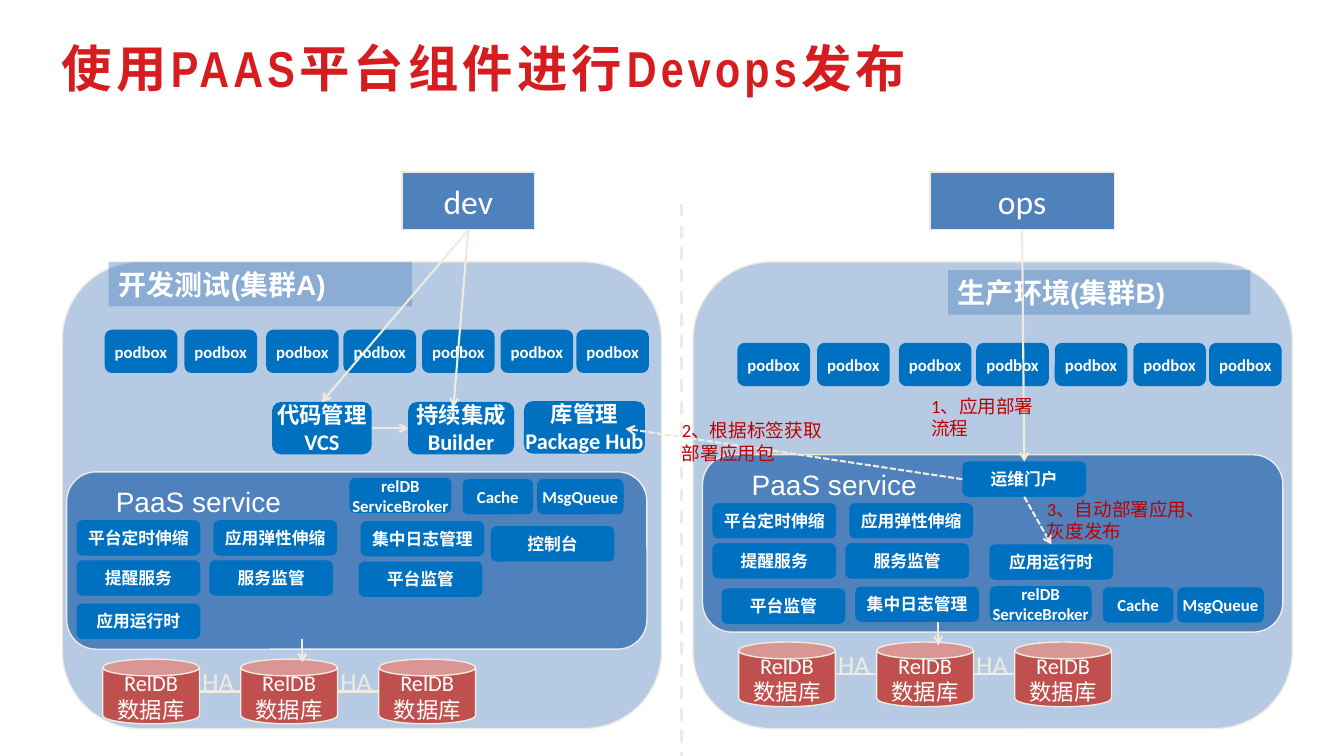
from dataclasses import dataclass

from lxml.etree import SubElement
from pptx import Presentation
from pptx.dml.color import RGBColor
from pptx.enum.dml import MSO_LINE
from pptx.enum.shapes import MSO_CONNECTOR, MSO_SHAPE
from pptx.enum.text import MSO_ANCHOR, MSO_AUTO_SIZE, PP_ALIGN
from pptx.oxml.ns import qn
from pptx.shapes.autoshape import Shape
from pptx.shapes.connector import Connector
from pptx.slide import Slide
from pptx.util import Cm, Pt

RED = RGBColor(0xD5, 0x1C, 0x1E)
NOTE_RED = RGBColor(0xC0, 0x00, 0x00)
WHITE = RGBColor(0xFF, 0xFF, 0xFF)
CREAM = RGBColor(0xEE, 0xEC, 0xE1)
BLUE = RGBColor(0x4F, 0x81, 0xBD)
BRIGHT_BLUE = RGBColor(0x00, 0x70, 0xC0)
BRICK = RGBColor(0xC0, 0x50, 0x4D)

TOP, LEFT, BOTTOM, RIGHT = range(4)
SERVICE_W, SERVICE_H = 3.12, 0.89
DATABASE_W, DATABASE_H, DATABASE_PITCH = 2.44, 1.63, 3.48


@dataclass(frozen=True)
class Box:
    text: str
    left: float
    top: float
    width: float = SERVICE_W
    height: float = SERVICE_H

    def moved(self, dx: float, dy: float) -> "Box":
        return Box(self.text, self.left + dx, self.top + dy, self.width, self.height)


@dataclass(frozen=True)
class Cluster:
    header: Box
    panel_dx: float
    docker_dx: float
    docker_dy: float
    paas_dx: float
    paas_dy: float
    broker_dx: float
    broker_dy: float
    services: tuple[Box, ...]


# Parts shared by both clusters, placed as in cluster A
PANEL = Box("", 1.57, 6.6, 15.11, 11.76)
PAAS = Box("", 1.68, 11.89, 14.63, 4.47)
PAAS_LABEL = Box("PaaS service", 2.67, 12.09, 4.72, 1.12)
DOCKERS = [Box("podbox", x, 8.31, 1.83, 1.09)
           for x in (2.64, 4.65, 6.71, 8.66, 10.64, 12.62, 14.53)]
SERVICES = [Box("平台定时伸缩", 1.93, 13.11), Box("应用弹性伸缩", 5.38, 13.11),
            Box("提醒服务", 1.93, 14.12), Box("服务监管", 5.28, 14.12)]
BROKERS = [Box("relDB\nServiceBroker", 8.81, 12.04, 2.57),
           Box("Cache", 11.66, 12.07, 1.78), Box("MsgQueue", 13.54, 12.07, 2.18)]
DATABASES = [Box("RelDB\n数据库", 2.59 + i * DATABASE_PITCH, 16.61, DATABASE_W, DATABASE_H)
             for i in range(3)]

RUNTIME_B = Box("应用运行时", 24.94, 13.72)
PORTAL = Box("运维门户", 24.26, 11.63)
CLUSTERS = [
    Cluster(Box("开发测试(集群A)", 2.74, 6.6, 7.65, 1.12), 0, 0, 0, 0, 0, 0, 0,
            (Box("控制台", 12.37, 13.26), Box("集中日志管理", 9.09, 13.13),
             Box("平台监管", 9.04, 14.15), Box("应用运行时", 1.93, 15.21))),
    Cluster(Box("生产环境(集群B)", 23.9, 6.81, 7.62, 1.12),
            15.9, 15.95, 0.33, 16.03, -0.43, 16.14, 2.73,
            (Box("集中日志管理", 21.56, 14.78), Box("平台监管", 18.19, 14.83))),
]
TOOLS = [Box("代码管理\nVCS", 6.86, 10.13, 2.51, 1.32),
         Box("持续集成\nBuilder", 10.29, 10.13, 2.67, 1.32),
         Box("库管理\nPackage Hub", 13.21, 10.11, 3.05, 1.32)]
ROLES = [Box("dev", 10.13, 4.34, 3.35, 1.45), Box("ops", 23.44, 4.34, 4.65, 1.45)]
NOTES = [Box("2、根据标签获取部署应用包", 16.94, 10.44, 4.19, 1.4),
         Box("1、应用部署流程", 23.22, 9.83, 3.23, 1.4),
         Box("3、自动部署应用、灰度发布", 26.14, 12.42, 4.11, 1.4)]


def format_text(sp: Shape, size: float, color: RGBColor, font: str = "Calibri",
                bold: bool = False, align: PP_ALIGN = PP_ALIGN.LEFT) -> None:
    for p in sp.text_frame.paragraphs:
        p.alignment = align
        for r in p.runs:
            r.font.size, r.font.name, r.font.bold = Pt(size), font, bold
            r.font.color.rgb = color


def place(box: Box) -> tuple[Cm, Cm, Cm, Cm]:
    return Cm(box.left), Cm(box.top), Cm(box.width), Cm(box.height)


def add_box(s: Slide, kind: MSO_SHAPE, box: Box, fill: RGBColor,
            outlined: bool = True, alpha: int = 100) -> Shape:
    sp = s.shapes.add_shape(kind, *place(box))
    sp.shadow.inherit = False
    sp.fill.solid()
    sp.fill.fore_color.rgb = fill
    if alpha < 100:
        color = sp.fill._xPr.find(qn("a:solidFill"))[0]
        SubElement(color, qn("a:alpha"), val=str(alpha * 1000))
    if outlined:
        sp.line.color.rgb = CREAM
        sp.line.width = Pt(1)
    else:
        sp.line.fill.background()
    tf = sp.text_frame
    tf.text = box.text
    tf.vertical_anchor = MSO_ANCHOR.MIDDLE
    return sp


def add_tile(s: Slide, box: Box, size: float = 12) -> Shape:
    sp = add_box(s, MSO_SHAPE.ROUNDED_RECTANGLE, box, BRIGHT_BLUE, outlined=False)
    tf = sp.text_frame
    tf.word_wrap = False
    tf.margin_left = tf.margin_right = tf.margin_top = tf.margin_bottom = 0
    format_text(sp, size, WHITE, bold=True, align=PP_ALIGN.CENTER)
    return sp


def add_label(s: Slide, box: Box, size: float, color: RGBColor,
              font: str = "Calibri", wrap: bool = False) -> None:
    sp = s.shapes.add_textbox(*place(box))
    sp.text_frame.text = box.text
    sp.text_frame.word_wrap = wrap
    format_text(sp, size, color, font)


def add_line(s: Slide, x1: float = 0, y1: float = 0, x2: float = 0, y2: float = 0,
             begin: tuple[Shape, int] | None = None, end: tuple[Shape, int] | None = None,
             arrow: bool = True, width: float = 1.5, dash: MSO_LINE | None = None) -> Connector:
    c = s.shapes.add_connector(MSO_CONNECTOR.STRAIGHT, Cm(x1), Cm(y1), Cm(x2), Cm(y2))
    if begin:
        c.begin_connect(*begin)
    if end:
        c.end_connect(*end)
    c.line.color.rgb = CREAM
    c.line.width = Pt(width)
    if dash:
        c.line.dash_style = dash
    if arrow:
        SubElement(c.line._get_or_add_ln(), qn("a:tailEnd"), type="arrow")
    SubElement(c._element.spPr, qn("a:effectLst"))
    return c


def add_databases(s: Slide, dx: float, dy: float) -> None:
    for box in DATABASES:
        sp = add_box(s, MSO_SHAPE.CAN, box.moved(dx, dy), BRICK)
        sp.adjustments[0] = 0.26
        tf = sp.text_frame
        tf.margin_left = tf.margin_right = Cm(0.28)
        tf.margin_top = tf.margin_bottom = Cm(0.15)
        format_text(sp, 16, WHITE, align=PP_ALIGN.CENTER)
        tf.paragraphs[1].runs[0].font.name = "Arial"
    middle = DATABASES[0].top + DATABASE_H / 2 + dy
    for left, right in zip(DATABASES, DATABASES[1:]):
        edge = left.left + DATABASE_W + dx
        add_line(s, edge, middle, right.left + dx, middle, arrow=False)
        add_label(s, Box("HA", edge - 0.18, 16.64 + dy, 1.4, 1.07), 18.7, CREAM)
    add_line(s, 7.62 + dx, 16.1 + dy, 7.62 + dx, 16.69 + dy)


def add_cluster(s: Slide, cluster: Cluster) -> None:
    dx, dy = cluster.paas_dx, cluster.paas_dy
    add_box(s, MSO_SHAPE.ROUNDED_RECTANGLE, PANEL.moved(cluster.panel_dx, 0), BLUE, alpha=41)
    header = add_box(s, MSO_SHAPE.RECTANGLE, cluster.header, BLUE, outlined=False, alpha=41)
    format_text(header, 20, WHITE, "Arial", bold=True)
    add_box(s, MSO_SHAPE.ROUNDED_RECTANGLE, PAAS.moved(dx, dy), BLUE)
    add_label(s, PAAS_LABEL.moved(dx, dy), 20, WHITE, "Arial")
    tiles = [b.moved(cluster.docker_dx, cluster.docker_dy) for b in DOCKERS]
    tiles += [b.moved(dx, dy) for b in SERVICES]
    tiles += [b.moved(cluster.broker_dx, cluster.broker_dy) for b in BROKERS]
    for box in (*tiles, *cluster.services):
        add_tile(s, box)
    add_databases(s, dx, dy)


def main() -> None:
    prs = Presentation()
    prs.slide_width, prs.slide_height = Cm(33.88), Cm(19.05)
    s = prs.slides.add_slide(prs.slide_layouts[5])

    # Title
    title = s.shapes.title
    title.left, title.top, title.width, title.height = Cm(1.3), Cm(0.81), Cm(22.33), Cm(1.8)
    tf = title.text_frame
    tf.text = "使用PAAS平台组件进行Devops发布"
    tf.word_wrap, tf.auto_size, tf.vertical_anchor = True, MSO_AUTO_SIZE.NONE, MSO_ANCHOR.TOP
    format_text(title, 36, RED, "Arial Narrow", bold=True)
    tf.paragraphs[0].runs[0].font._element.set("spc", "300")

    # Clusters and the divider between them
    for cluster in CLUSTERS:
        add_cluster(s, cluster)
    add_line(s, 17.17, 5.13, 17.17, 19.05, arrow=False, width=2.25, dash=MSO_LINE.DASH)

    # Roles, build tools and the operations portal
    dev, ops = [add_box(s, MSO_SHAPE.RECTANGLE, box, BLUE) for box in ROLES]
    for role in (dev, ops):
        format_text(role, 24, WHITE, align=PP_ALIGN.CENTER)
    code, build, _ = [add_tile(s, box, 16) for box in TOOLS]
    runtime, portal = add_tile(s, RUNTIME_B), add_tile(s, PORTAL)

    # Flow arrows
    add_line(s, begin=(dev, BOTTOM), end=(code, TOP))
    add_line(s, x2=11.43, y2=10.26, begin=(dev, BOTTOM))
    add_line(s, begin=(code, RIGHT), end=(build, LEFT))
    add_line(s, begin=(ops, BOTTOM), end=(portal, TOP))
    add_line(s, x2=15.77, y2=10.8, begin=(portal, LEFT), dash=MSO_LINE.SQUARE_DOT)
    add_line(s, begin=(portal, BOTTOM), end=(runtime, TOP), dash=MSO_LINE.SQUARE_DOT)

    # Step notes
    for note in NOTES:
        add_label(s, note, 13.3, NOTE_RED, wrap=True)

    prs.save("out.pptx")


if __name__ == "__main__":
    main()
